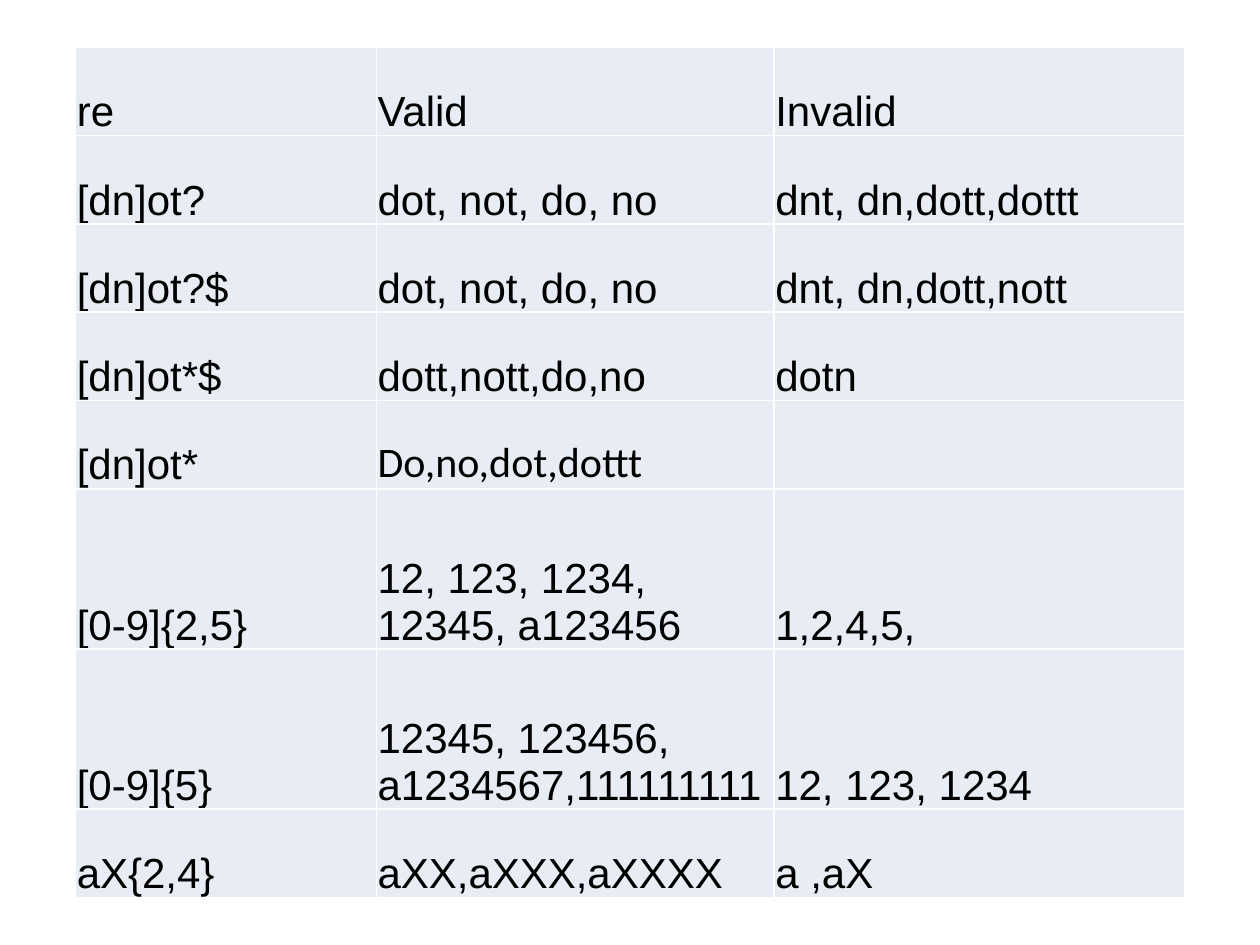
from dataclasses import dataclass

from lxml.etree import SubElement as Sub
from pptx import Presentation
from pptx.dml.color import RGBColor as RGB
from pptx.enum.text import MSO_ANCHOR as Anchor
from pptx.oxml.ns import qn
from pptx.util import Inches, Pt


@dataclass(frozen=True)
class Theme:
    ink: str = "000000"
    fill: str = "E8ECF4"
    rule: str = "FFFFFF"
    font: str = "Arial"
    alt: str = "Calibri"
    size: int = 24
    line: int = 1
    inset: float = 0.01


THEME = Theme()
WIDE, HIGH = 10, 7.5

# Column and row sizes, as weights within the table's box
COLS = (2.39, 3.16, 3.26)
SHORT, TALL = 0.7, 1.27

ROWS = (
    (SHORT, "re", "Valid", "Invalid"),
    (SHORT, "[dn]ot?", "dot, not, do, no", "dnt, dn,dott,dottt"),
    (SHORT, "[dn]ot?$", "dot, not, do, no", "dnt, dn,dott,nott"),
    (SHORT, "[dn]ot*$", "dott,nott,do,no", "dotn"),
    (SHORT, "[dn]ot*", "Do,no,dot,dottt", ""),
    (TALL, "[0-9]{2,5}", "12, 123, 1234, 12345, a123456", "1,2,4,5,"),
    (TALL, "[0-9]{5}", "12345, 123456, a1234567,111111111", "12, 123, 1234"),
    (SHORT, "aX{2,4}", "aXX,aXXX,aXXXX", "a ,aX"),
)
ALT_CELL = (4, 1)


def add_rules(cell):
    props = cell._tc.get_or_add_tcPr()
    for side in ("lnL", "lnR", "lnT", "lnB"):
        line = Sub(props, qn(f"a:{side}"), w=str(Pt(THEME.line)))
        Sub(Sub(line, qn("a:solidFill")), qn("a:srgbClr"), val=THEME.rule)


def fill_cell(cell, text, font):
    add_rules(cell)
    cell.fill.solid()
    cell.fill.fore_color.rgb = RGB.from_string(THEME.fill)
    cell.vertical_anchor = Anchor.BOTTOM
    cell.margin_left = cell.margin_right = cell.margin_top = Inches(THEME.inset)
    cell.margin_bottom = 0
    if text:
        run = cell.text_frame.paragraphs[0].add_run()
        run.text = text
        run.font.name = font
        run.font.size = Pt(THEME.size)
        run.font.bold = False
        run.font.color.rgb = RGB.from_string(THEME.ink)


def add_grid(slide, left, top, width, height):
    box = [Inches(n) for n in (left, top, width, height)]
    table = slide.shapes.add_table(len(ROWS), len(COLS), *box).table
    table.first_row = table.horz_banding = False

    # Share the box out by weight
    for col, part in zip(table.columns, COLS):
        col.width = Inches(width * part / sum(COLS))
    total = sum(row[0] for row in ROWS)
    for r, (part, *texts) in enumerate(ROWS):
        table.rows[r].height = Inches(height * part / total)
        for c, text in enumerate(texts):
            font = THEME.alt if (r, c) == ALT_CELL else THEME.font
            fill_cell(table.cell(r, c), text, font)


def main():
    deck = Presentation()
    deck.slide_width, deck.slide_height = Inches(WIDE), Inches(HIGH)
    slide = deck.slides.add_slide(deck.slide_layouts[6])

    # Table of patterns, centred across the slide
    width = 0.88 * WIDE
    add_grid(slide, (WIDE - width) / 2, 0.05 * HIGH, width, 0.9 * HIGH)
    deck.save("out.pptx")


if __name__ == "__main__":
    main()
